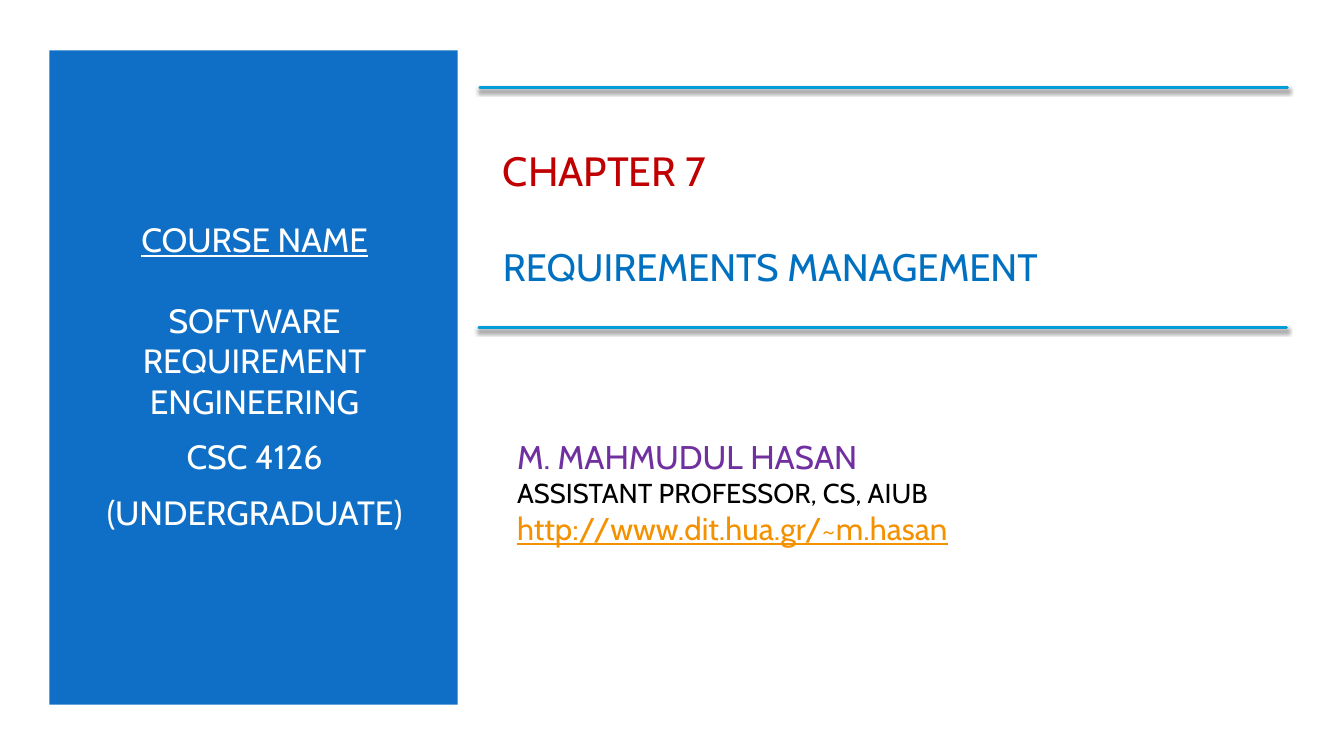
from lxml.etree import SubElement
from pptx import Presentation
from pptx.dml.color import RGBColor
from pptx.enum.shapes import MSO_CONNECTOR as Connector, MSO_SHAPE as Shape
from pptx.enum.text import MSO_ANCHOR as Anchor, PP_ALIGN as Align
from pptx.oxml.ns import qn
from pptx.util import Inches, Pt

WIDTH, HEIGHT = 13.33, 7.5
FONT = "Cabin"
PANEL = (0.49, 0.5, 4.05, 6.49)
PANEL_COLOR, RULE_COLOR = "0F6FC6", "009DD9"
RULE_LENGTH = 8.01
RULES = [(4.76, 0.87), (4.75, 3.25)]

# text, size, colour, underlined, space before, space after
BLOCKS = [
    ((0.84, 1.1, 3.37, 5.25), Align.CENTER, [
        ("COURSE NAME", 24, "FFFFFF", True, 0, 0),
        ("SOFTWARE REQUIREMENT ENGINEERING", 24, "FFFFFF", False, 29, 6),
        ("CSC 4126", 24, "FFFFFF", False, 4.8, 6),
        ("(UNDERGRADUATE)", 24, "FFFFFF", False, 4.8, 6),
    ]),
    ((4.89, 1.1, 7.85, 2.11), Align.LEFT, [
        ("CHAPTER 7", 29.2, "C00000", False, 0, 0),
        ("REQUIREMENTS MANAGEMENT", 27.3, "0070C0", False, 35, 0),
    ]),
    ((5.03, 4.1, 6.66, 1.56), Align.LEFT, [
        ("M. MAHMUDUL HASAN", 23.4, "7030A0", False, 0, 0),
        ("ASSISTANT PROFESSOR, CS, AIUB", 19.5, "000000", False, 0, 0),
        ("http://www.dit.hua.gr/~m.hasan", 22.4, "F49100", True, 0, 0),
    ]),
]


def color(value):
    """Turn a hex string into a colour."""
    return RGBColor.from_string(value)


def add_panel(page):
    """Add the plain coloured panel on the left."""
    panel = page.shapes.add_shape(Shape.RECTANGLE, *map(Inches, PANEL))
    panel.shadow.inherit = False
    panel.fill.solid()
    panel.fill.fore_color.rgb = color(PANEL_COLOR)
    panel.line.fill.background()


def add_block(page, place, align, lines):
    """Add a vertically centred text box with one paragraph per line."""
    box = page.shapes.add_textbox(*map(Inches, place))
    frame = box.text_frame
    frame.word_wrap = True
    frame.vertical_anchor = Anchor.MIDDLE
    frame.text = "\n".join(line[0] for line in lines)
    for para, (_, size, ink, underlined, before, after) in zip(frame.paragraphs, lines):
        para.alignment = align
        para.space_before, para.space_after = Pt(before), Pt(after)
        for span in para.runs:
            span.font.name = FONT
            span.font.size = Pt(size)
            span.font.color.rgb = color(ink)
            span.font.underline = underlined


def add_rule(page, left, top):
    """Add a horizontal rule with round ends and a soft shadow below it."""
    rule = page.shapes.add_connector(
        Connector.STRAIGHT, *map(Inches, (left, top, left + RULE_LENGTH, top)))
    rule.line.color.rgb = color(RULE_COLOR)
    rule.line.width = Pt(2)
    properties = rule._element.spPr
    properties.find(qn("a:ln")).set("cap", "rnd")
    effects = SubElement(properties, qn("a:effectLst"))
    shadow = SubElement(effects, qn("a:outerShdw"), blurRad=str(Pt(3)),
                        dist=str(Pt(2)), dir="5400000", rotWithShape="0")
    shade = SubElement(shadow, qn("a:srgbClr"), val="000000")
    SubElement(shade, qn("a:alpha"), val="55000")


def main():
    """Build the slide and save it."""
    deck = Presentation()
    deck.slide_width, deck.slide_height = Inches(WIDTH), Inches(HEIGHT)
    page = deck.slides.add_slide(deck.slide_layouts[6])
    add_panel(page)
    for block in BLOCKS:
        add_block(page, *block)
    for rule in RULES:
        add_rule(page, *rule)
    deck.save("out.pptx")


if __name__ == "__main__":
    main()
